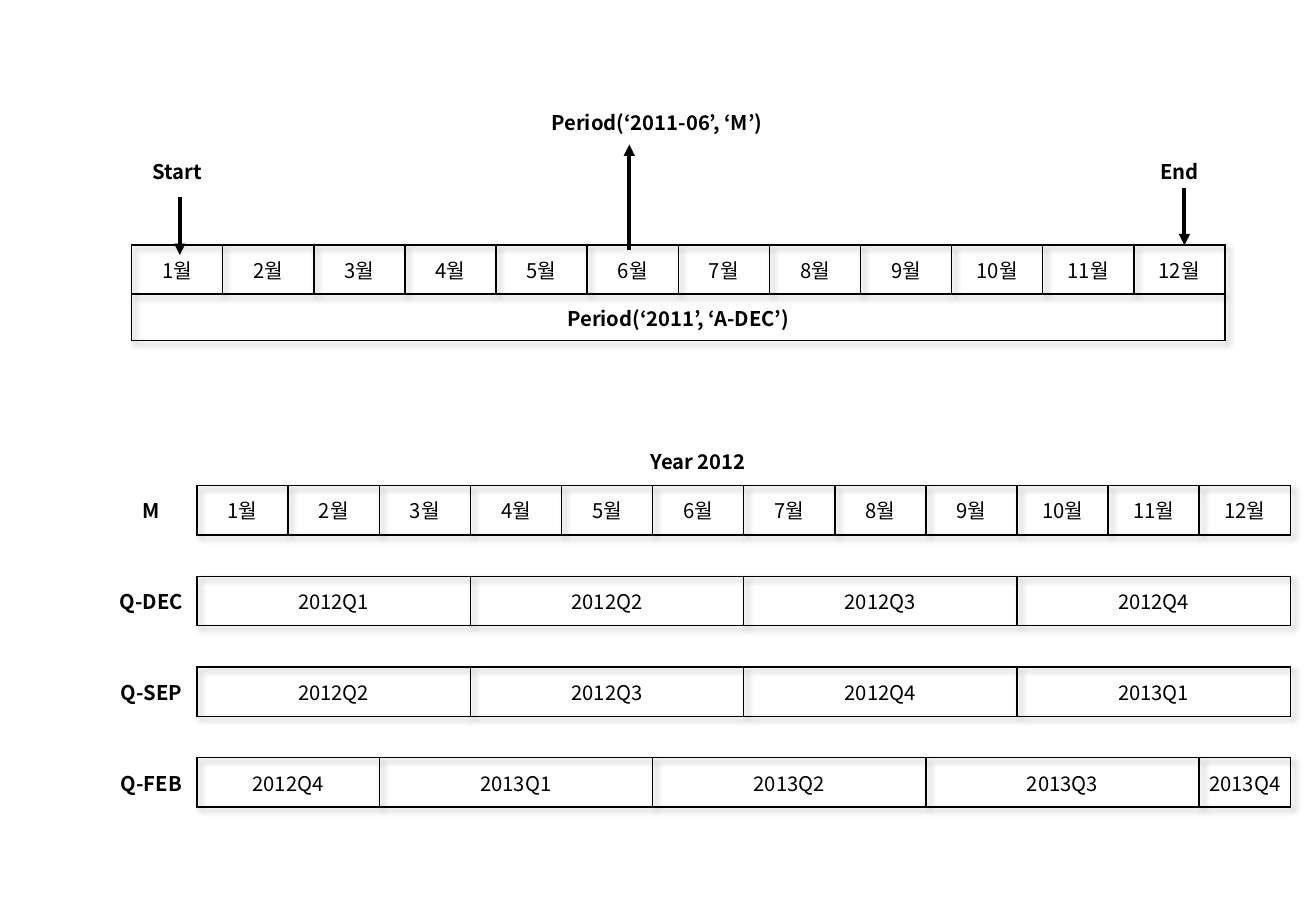
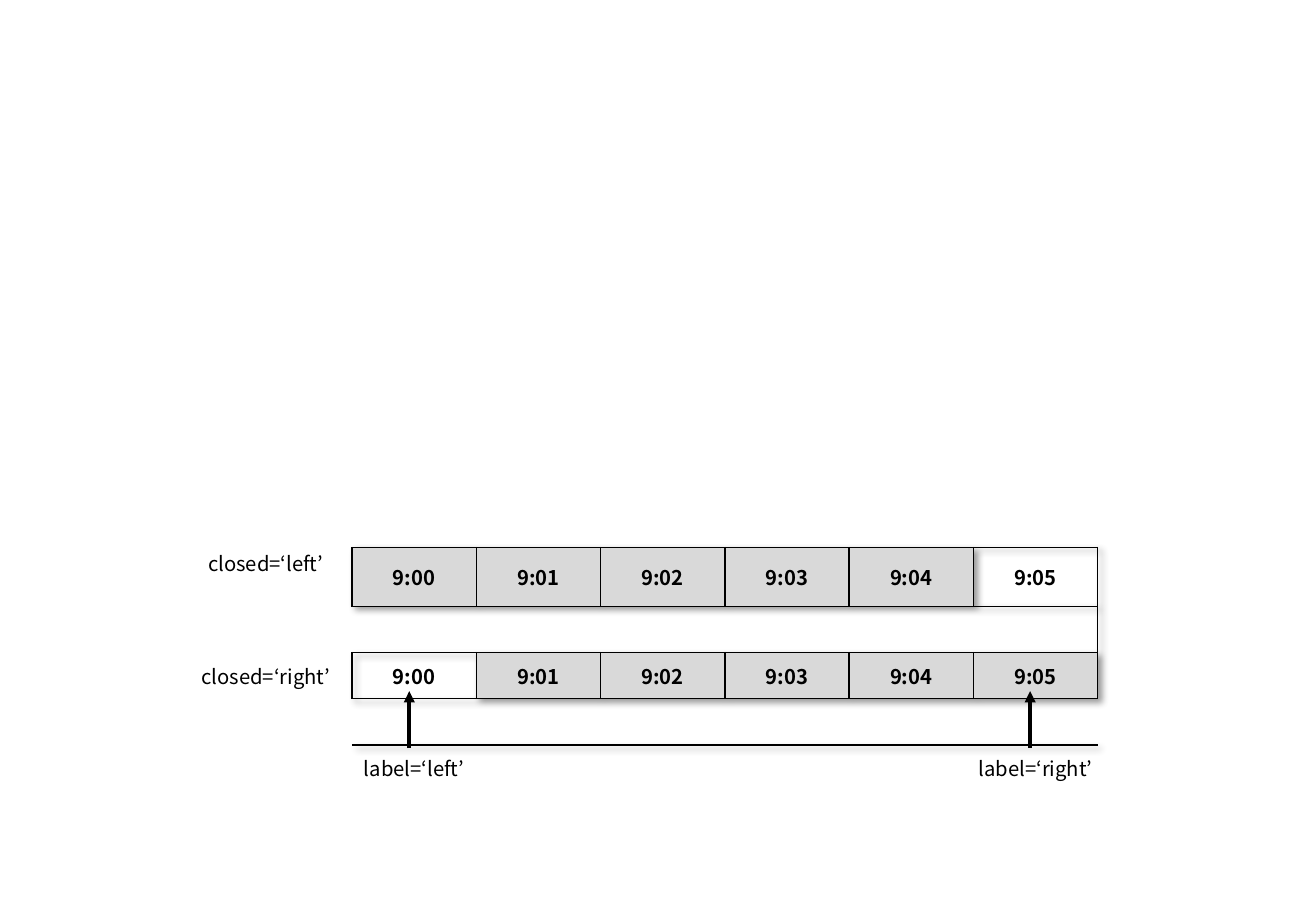
"""Build two slides that explain period frequencies and resampling intervals."""
from dataclasses import dataclass
from typing import Optional

from lxml import etree
from pptx import Presentation
from pptx.dml.color import RGBColor
from pptx.enum import shapes, text
from pptx.oxml import ns, parse_xml
from pptx.util import Pt

BLACK = RGBColor(0x00, 0x00, 0x00)
GRAY = RGBColor(0xD9, 0xD9, 0xD9)
FONT = "Noto Sans CJK KR"
TEXT_SIZE = 12
PLAIN_STYLE = "{2D5ABB26-0587-4C30-8999-92F81FD0307C}"
SHADOW = (
    f'<a:effectLst {ns.nsdecls("a")}><a:outerShdw blurRad="50800" dist="38100" '
    'dir="2700000" algn="tl" rotWithShape="0"><a:srgbClr val="000000">'
    '<a:alpha val="40000"/></a:srgbClr></a:outerShdw></a:effectLst>'
)


@dataclass
class Cell:
    """One table cell, possibly spanning several columns."""

    text: str = ""
    span: int = 1
    bold: bool = False
    borders: str = ""
    fill: Optional[RGBColor] = None
    margin_right: float = 0
    margin_bottom: float = 0


def boxes(labels, spans=None, bold=False, shaded=()):
    spans = spans or [1] * len(labels)
    return [
        Cell(label, span, bold, "LRTB", GRAY if label in shaded else None)
        for label, span in zip(labels, spans)
    ]


def blanks(spans, borders=""):
    return [Cell(span=span, borders=borders) for span in spans]


MONTHS = [f"{month}월" for month in range(1, 13)]
MINUTES = [f"9:0{minute}" for minute in range(6)]
QUARTERS = [
    ("Q-DEC", ["2012Q1", "2012Q2", "2012Q3", "2012Q4"], [3, 3, 3, 3]),
    ("Q-SEP", ["2012Q2", "2012Q3", "2012Q4", "2013Q1"], [3, 3, 3, 3]),
    ("Q-FEB", ["2012Q4", "2013Q1", "2013Q2", "2013Q3", "2013Q4"], [2, 3, 3, 3, 1]),
]

ROW, GAP, SPACER = 29.2, 24.6, 18
YEAR_ROWS = [
    (ROW, [Cell("Year 2012", 13, True)]),
    (ROW, [Cell("M", bold=True, borders="R")] + boxes(MONTHS)),
]
for name, quarters, spans in QUARTERS:
    YEAR_ROWS += [
        (GAP, [Cell()] + blanks(spans, "TB")),
        (ROW, [Cell(name, bold=True, borders="R")] + boxes(quarters, spans)),
    ]

PERIOD_ROWS = [
    (ROW, [Cell("Period(‘2011-06’, ‘M’)", 12, True, margin_right=25.2)]),
    (ROW, [Cell("Start", bold=True)] + blanks([1] * 10) + [Cell("End", bold=True)]),
    (ROW, blanks([1] * 12, "B")),
    (ROW, boxes(MONTHS)),
    (27.4, boxes(["Period(‘2011’, ‘A-DEC’)"], [12], bold=True)),
    (SPACER, blanks([3] * 4, "T")),
]

INTERVAL_ROWS = [
    (34.8, [Cell("closed=‘left’", borders="R", margin_bottom=17.4)]
     + boxes(MINUTES, bold=True, shaded=MINUTES[:-1])),
    (27.4, [Cell(), Cell(span=6, borders="RTB")]),
    (27.4, [Cell("closed=‘right’", borders="R")]
     + boxes(MINUTES, bold=True, shaded=MINUTES[1:])),
    (27.4, [Cell()] + blanks([1] * 6, "T")),
    (27.4, [Cell(), Cell("label=‘left’")] + blanks([1] * 4) + [Cell("label=‘right’")]),
    (SPACER, blanks([1, 2, 3, 1])),
]

SLIDES = [
    {
        "tables": [
            (62.8, 258.6, [54] * 13, YEAR_ROWS),
            (78, 57.6, [54] * 12, PERIOD_ROWS),
        ],
        "arrows": [(373, 148.3, 85.7), (106.6, 116.6, 151.2), (702, 111.6, 145.4)],
    },
    {
        "tables": [(106.4, 324.6, [102.2] + [73.7] * 6, INTERVAL_ROWS)],
        "arrows": [(242.6, 443.5, 409.7), (610.6, 443.5, 409.7)],
    },
]


def add_border(cell, side):
    properties = cell._tc.get_or_add_tcPr()
    line = etree.SubElement(properties, ns.qn(f"a:ln{side}"), w=str(Pt(1)))
    fill = etree.SubElement(line, ns.qn("a:solidFill"))
    etree.SubElement(fill, ns.qn("a:srgbClr"), val=str(BLACK))


def fill_cell(cell, content):
    cell.margin_left = cell.margin_top = 0
    cell.margin_right = Pt(content.margin_right)
    cell.margin_bottom = Pt(content.margin_bottom)
    cell.vertical_anchor = text.MSO_ANCHOR.MIDDLE
    for side in "LRTB":
        if side in content.borders:
            add_border(cell, side)
    if content.fill is None:
        cell.fill.background()
    else:
        cell.fill.solid()
        cell.fill.fore_color.rgb = content.fill
    paragraph = cell.text_frame.paragraphs[0]
    paragraph.alignment = text.PP_ALIGN.CENTER
    if not content.text:
        end = etree.SubElement(paragraph._p, ns.qn("a:endParaRPr"))
        end.set("sz", str(TEXT_SIZE * 100))
        return
    run = paragraph.add_run()
    run.text = content.text
    run.font.size = Pt(TEXT_SIZE)
    run.font.bold = content.bold
    run.font.name = FONT
    run.font.color.rgb = BLACK
    etree.SubElement(run._r.get_or_add_rPr(), ns.qn("a:ea"), typeface=FONT)


def add_table(slide, left, top, widths, rows):
    height = sum(row_height for row_height, _ in rows)
    frame = slide.shapes.add_table(
        len(rows), len(widths), Pt(left), Pt(top), Pt(sum(widths)), Pt(height)
    )
    table = frame.table
    table.first_row = table.horz_banding = False
    properties = table._tbl.tblPr
    properties.find(ns.qn("a:tableStyleId")).text = PLAIN_STYLE
    properties.insert(0, parse_xml(SHADOW))
    for column, width in zip(table.columns, widths):
        column.width = Pt(width)
    for row_index, (row_height, contents) in enumerate(rows):
        table.rows[row_index].height = Pt(row_height)
        column_index = 0
        for content in contents:
            cell = table.cell(row_index, column_index)
            column_index += content.span
            if content.span > 1:
                cell.merge(table.cell(row_index, column_index - 1))
            fill_cell(cell, content)


def add_arrow(slide, x, start, end):
    arrow = slide.shapes.add_connector(
        shapes.MSO_CONNECTOR.STRAIGHT, Pt(x), Pt(start), Pt(x), Pt(end)
    )
    arrow.line.color.rgb = BLACK
    arrow.line.width = Pt(2.25)
    etree.SubElement(arrow.line._get_or_add_ln(), ns.qn("a:tailEnd"), type="triangle")
    etree.SubElement(arrow._element.spPr, ns.qn("a:effectLst"))


def main():
    presentation = Presentation()
    presentation.slide_width, presentation.slide_height = Pt(780), Pt(540)
    for content in SLIDES:
        slide = presentation.slides.add_slide(presentation.slide_layouts[6])
        for table in content["tables"]:
            add_table(slide, *table)
        for arrow in content["arrows"]:
            add_arrow(slide, *arrow)
    presentation.save("out.pptx")


if __name__ == "__main__":
    main()
